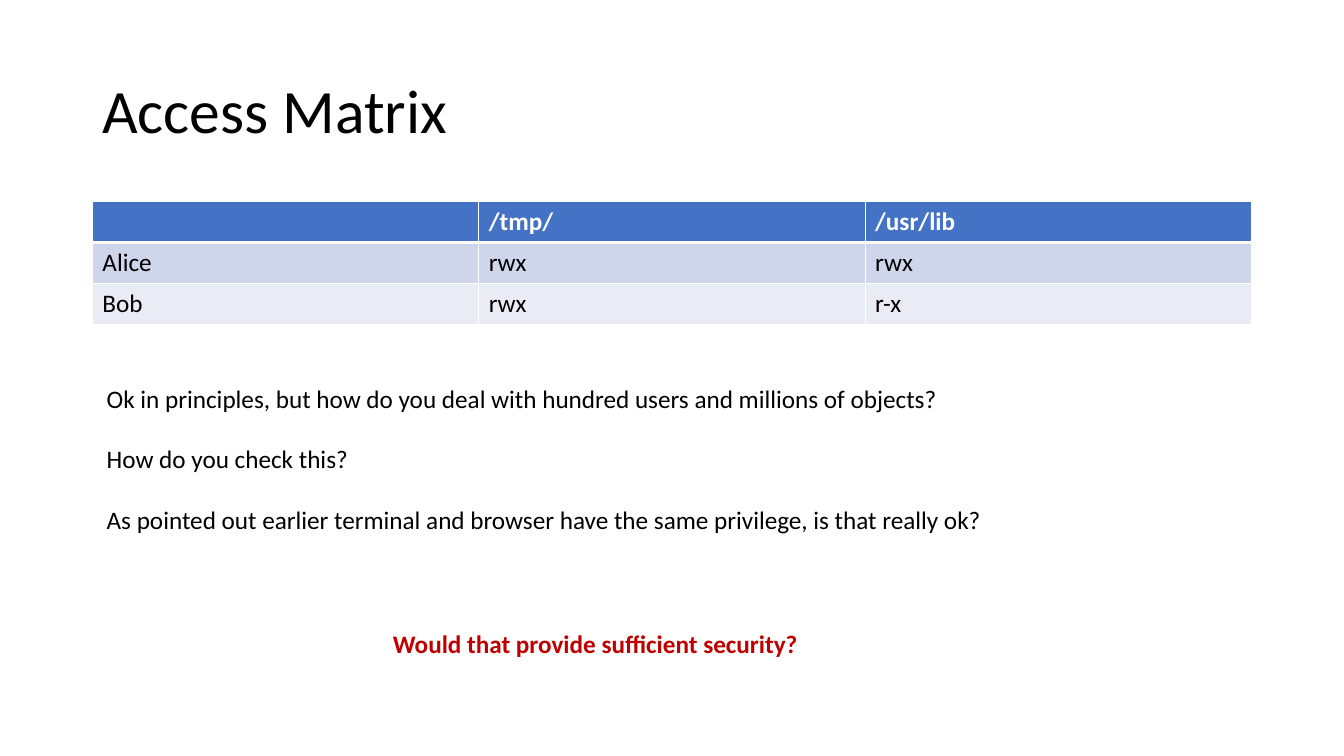
"""Build the Access Matrix slide with its permission table and questions."""
from lxml import etree
from pptx import Presentation
from pptx import util as u
from pptx.dml.color import RGBColor
from pptx.enum import text
from pptx.oxml.ns import qn

FONT = "Calibri"
BLACK, WHITE, RED = "000000", "FFFFFF", "C00000"
TITLE = "Access Matrix"
MATRIX = [
    ("", "/tmp/", "/usr/lib"),
    ("Alice", "rwx", "rwx"),
    ("Bob", "rwx", "r-x"),
]
ROW_FILLS = ["4472C4", "CFD5EA", "E9EBF5"]
QUESTIONS = [
    "Ok in principles, but how do you deal with hundred users and millions of objects?",
    "How do you check this?",
    "As pointed out earlier terminal and browser have the same privilege, is that really ok?",
]
CONCLUSION = "Would that provide sufficient security?"
MATRIX_BOX = (66, 144, 828, 87.6)


def color(value):
    return RGBColor.from_string(value)


def write(frame, lines, size=18, fill=BLACK, bold=False, gap=0, spacing=None):
    for index, line in enumerate(lines):
        paragraph = frame.add_paragraph() if index else frame.paragraphs[0]
        paragraph.space_before = u.Pt(gap if index else 0)
        paragraph.line_spacing = spacing
        run = paragraph.add_run()
        run.text = line
        run.font.name = FONT
        run.font.size = u.Pt(size)
        run.font.bold = bold
        run.font.color.rgb = color(fill)


def add_text(slide, box, lines, wrap=False, anchor=text.MSO_ANCHOR.TOP, **style):
    frame = slide.shapes.add_textbox(*map(u.Pt, box)).text_frame
    frame.word_wrap = wrap
    frame.vertical_anchor = anchor
    if not wrap:
        frame.auto_size = text.MSO_AUTO_SIZE.SHAPE_TO_FIT_TEXT
    write(frame, lines, **style)


def set_borders(cell, **widths):
    properties = cell._tc.get_or_add_tcPr()
    for index, (side, width) in enumerate(widths.items()):
        line = etree.Element(qn(f"a:{side}"), w=str(u.Pt(width)))
        solid = etree.SubElement(line, qn("a:solidFill"))
        etree.SubElement(solid, qn("a:srgbClr"), val=WHITE)
        properties.insert(index, line)


def add_matrix(slide):
    table = slide.shapes.add_table(
        len(MATRIX), len(MATRIX[0]), *map(u.Pt, MATRIX_BOX)).table
    for row, values in enumerate(MATRIX):
        header = row == 0
        for column, value in enumerate(values):
            cell = table.cell(row, column)
            cell.fill.solid()
            cell.fill.fore_color.rgb = color(ROW_FILLS[row])
            set_borders(cell, lnL=1, lnR=1, lnT=3 if row == 1 else 1,
                        lnB=3 if header else 1)
            if value:
                write(cell.text_frame, [value], bold=header,
                      fill=WHITE if header else BLACK)


def main():
    presentation = Presentation()
    presentation.slide_width, presentation.slide_height = u.Pt(960), u.Pt(540)
    slide = presentation.slides.add_slide(presentation.slide_layouts[6])
    add_text(slide, (66, 28.8, 828, 104.4), [TITLE], wrap=True,
             anchor=text.MSO_ANCHOR.MIDDLE, size=44, spacing=0.9)
    add_matrix(slide)
    add_text(slide, (69.1, 270, 646.6, 116.6), QUESTIONS, gap=21.6)
    add_text(slide, (273.6, 445, 306.7, 29), [CONCLUSION], fill=RED, bold=True)
    presentation.save("out.pptx")


if __name__ == "__main__":
    main()
